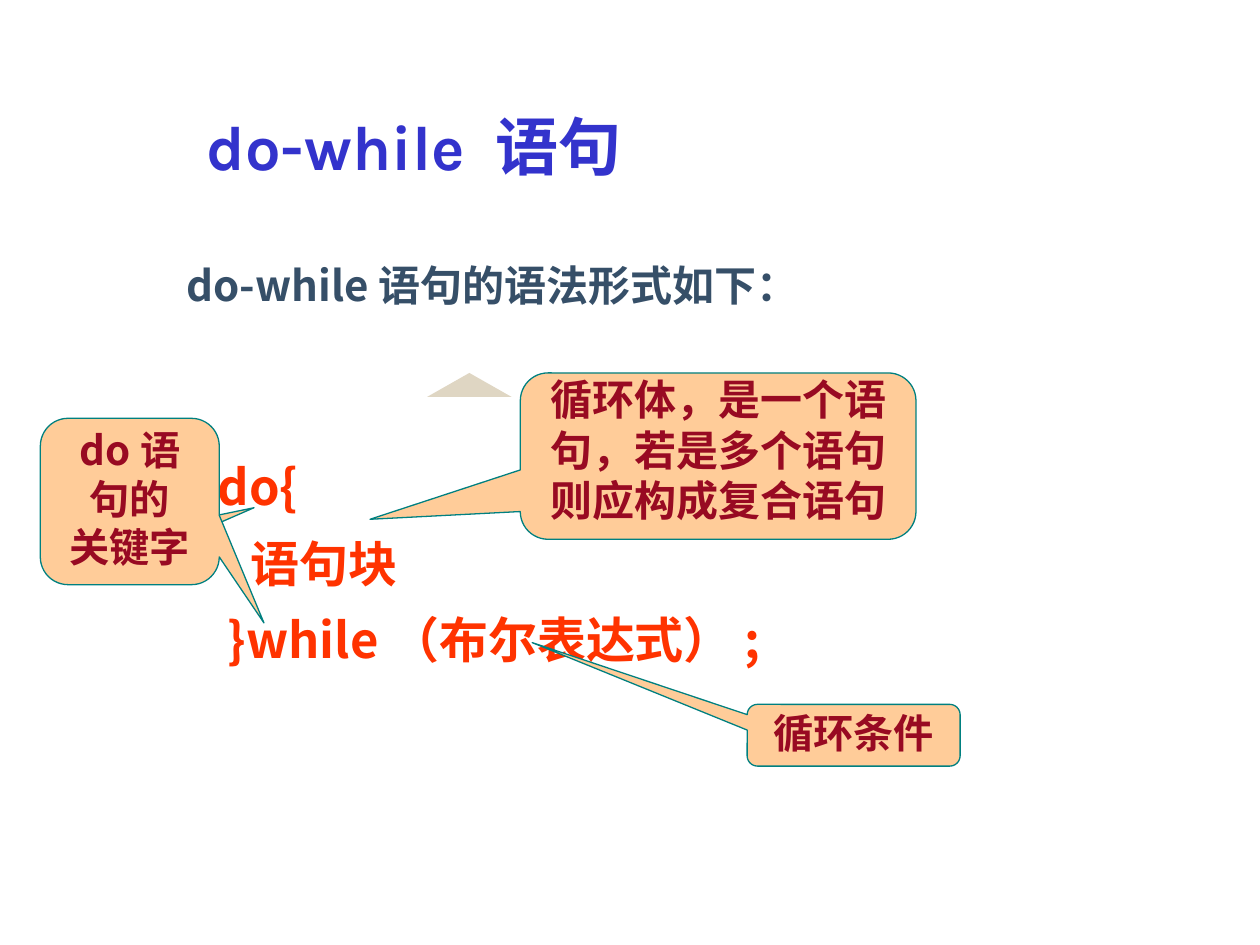
from pptx import Presentation
from pptx.dml.color import RGBColor
from pptx.enum.shapes import MSO_SHAPE
from pptx.enum.text import MSO_ANCHOR, PP_ALIGN
from pptx.oxml.ns import qn
from pptx.util import Inches, Pt
from lxml import etree

CALLOUT = MSO_SHAPE.ROUNDED_RECTANGULAR_CALLOUT
TRIANGLE = MSO_SHAPE.ISOSCELES_TRIANGLE
BOTTOM = MSO_ANCHOR.BOTTOM
CENTER, LEFT = PP_ALIGN.CENTER, PP_ALIGN.LEFT
CJK_FONT = "Noto Sans CJK SC"
COLORS = {
    "title": "3333CC", "intro": "364F68", "code": "FF3300",
    "callout": "FFCC99", "outline": "008080", "note": "980A22",
    "triangle": "DFD6C3",
}


def color(name):
    return RGBColor.from_string(COLORS[name])


def format_paragraph(paragraph, size, color_name, latin=CJK_FONT, align=LEFT):
    """Set a bold font for Latin and Chinese characters, and the alignment."""
    paragraph.alignment = align
    font = paragraph.font
    font.size, font.bold, font.name = Pt(size), True, latin
    font.color.rgb = color(color_name)
    defaults = paragraph._p.pPr.find(qn("a:defRPr"))
    east_asian = etree.Element(qn("a:ea"), typeface=CJK_FONT)
    defaults.find(qn("a:latin")).addnext(east_asian)


presentation = Presentation()
presentation.slide_width, presentation.slide_height = Inches(10), Inches(7.5)
slide = presentation.slides.add_slide(presentation.slide_layouts[5])

triangle = slide.shapes.add_shape(
    TRIANGLE, Inches(3.39), Inches(2.96), Inches(0.67), Inches(0.19))
triangle.shadow.inherit = False
triangle.fill.solid()
triangle.fill.fore_color.rgb = color("triangle")
triangle.line.fill.background()

title = slide.shapes.title
title.left, title.top = Inches(1.54), Inches(0.94)
title.width, title.height = Inches(4.28), Inches(0.56)
title.text_frame.text = "do-while 语句"
title.text_frame.vertical_anchor = BOTTOM
format_paragraph(title.text_frame.paragraphs[0], 36, "title", "Karla")

# Text, size, colour, left indent in inches, space before in points
syntax_lines = [
    ("do-while语句的语法形式如下：", 24, "intro", 0.45, 0),
    ("do{", 28, "code", 0.7, 74),
    ("语句块", 28, "code", 0.96, 0),
    ("}while（布尔表达式）;", 28, "code", 0.78, 0),
]
syntax = slide.shapes.add_textbox(
    Inches(0.93), Inches(1.89), Inches(8.83), Inches(5.04)).text_frame
syntax.word_wrap = True
for index, (text, size, color_name, indent, before) in enumerate(syntax_lines):
    paragraph = syntax.add_paragraph() if index else syntax.paragraphs[0]
    paragraph.text = text
    paragraph.line_spacing = 1.3
    if before:
        paragraph.space_before = Pt(before)
    paragraph._p.get_or_add_pPr().set("marL", str(Inches(indent)))
    format_paragraph(paragraph, size, color_name)

# Parent, box in inches, pointer offset, lines, size, Latin font
keyword_group = slide.shapes.add_group_shape()
callouts = [
    (keyword_group, (0.51, 4.06, 0.96, 0.5), (1.07, -0.56), [], 23, CJK_FONT),
    (keyword_group, (0.32, 3.32, 1.42, 1.32), (0.75, 0.73),
     ["do语句的", "关键字"], 23, CJK_FONT),
    (slide, (4.13, 2.96, 3.14, 1.32), (-0.88, 0.38),
     ["循环体，是一个语句，若是多个语句则应构成复合语句"], 24, "Times New Roman"),
    (slide, (5.93, 5.59, 1.69, 0.49), (-1.51, -1.5),
     ["循环条件"], 23, CJK_FONT),
]
for parent, box, pointer, lines, size, latin in callouts:
    shape = parent.shapes.add_shape(CALLOUT, *map(Inches, box))
    shape.shadow.inherit = False
    shape.adjustments[0], shape.adjustments[1] = pointer
    shape.fill.solid()
    shape.fill.fore_color.rgb = color("callout")
    shape.line.color.rgb = color("outline")
    shape.line.width = Pt(0.75)
    frame = shape.text_frame
    frame.word_wrap = True
    frame.vertical_anchor = BOTTOM
    for index, text in enumerate(lines):
        paragraph = frame.add_paragraph() if index else frame.paragraphs[0]
        paragraph.text = text
        format_paragraph(paragraph, size, "note", latin, CENTER)

presentation.save("out.pptx")
